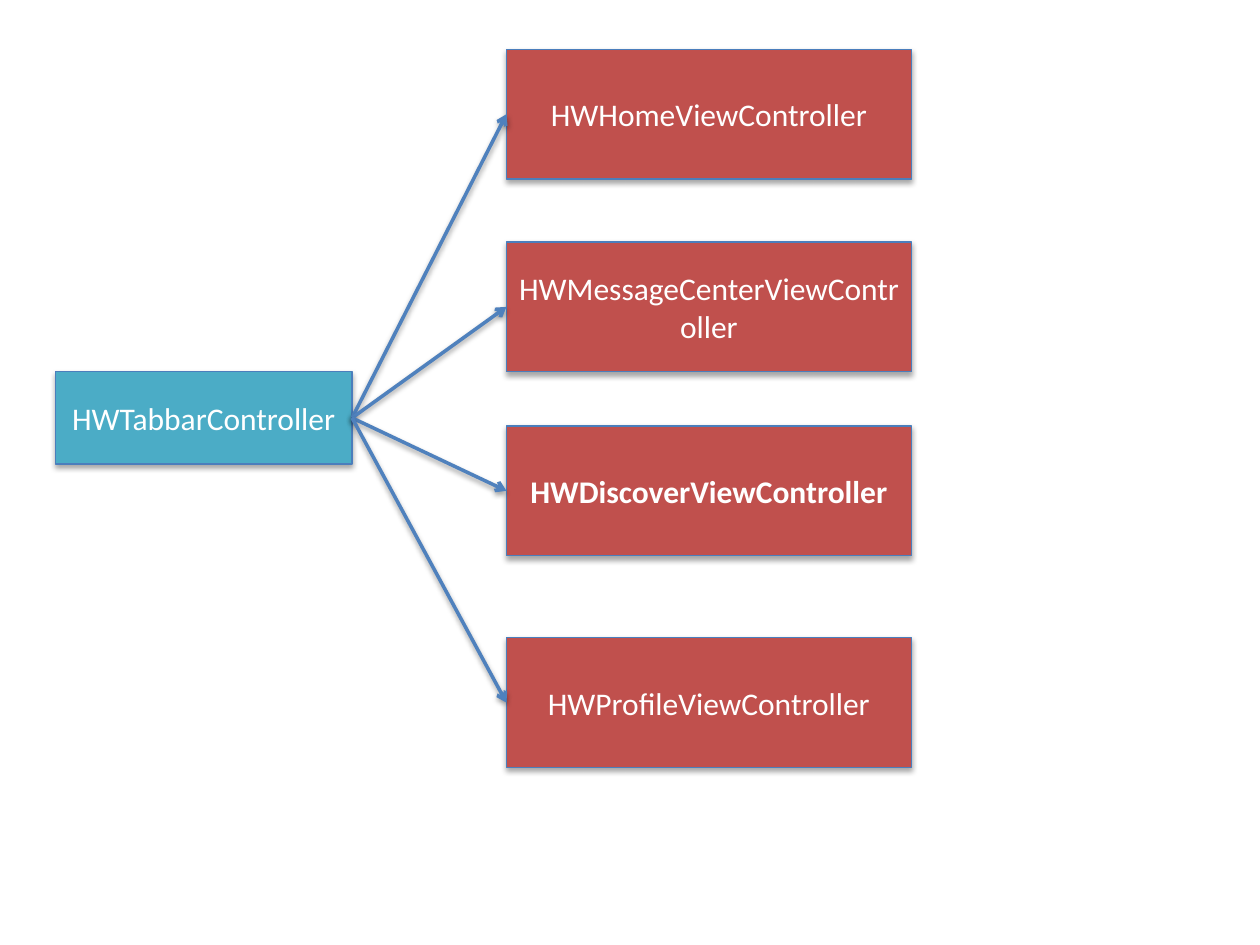
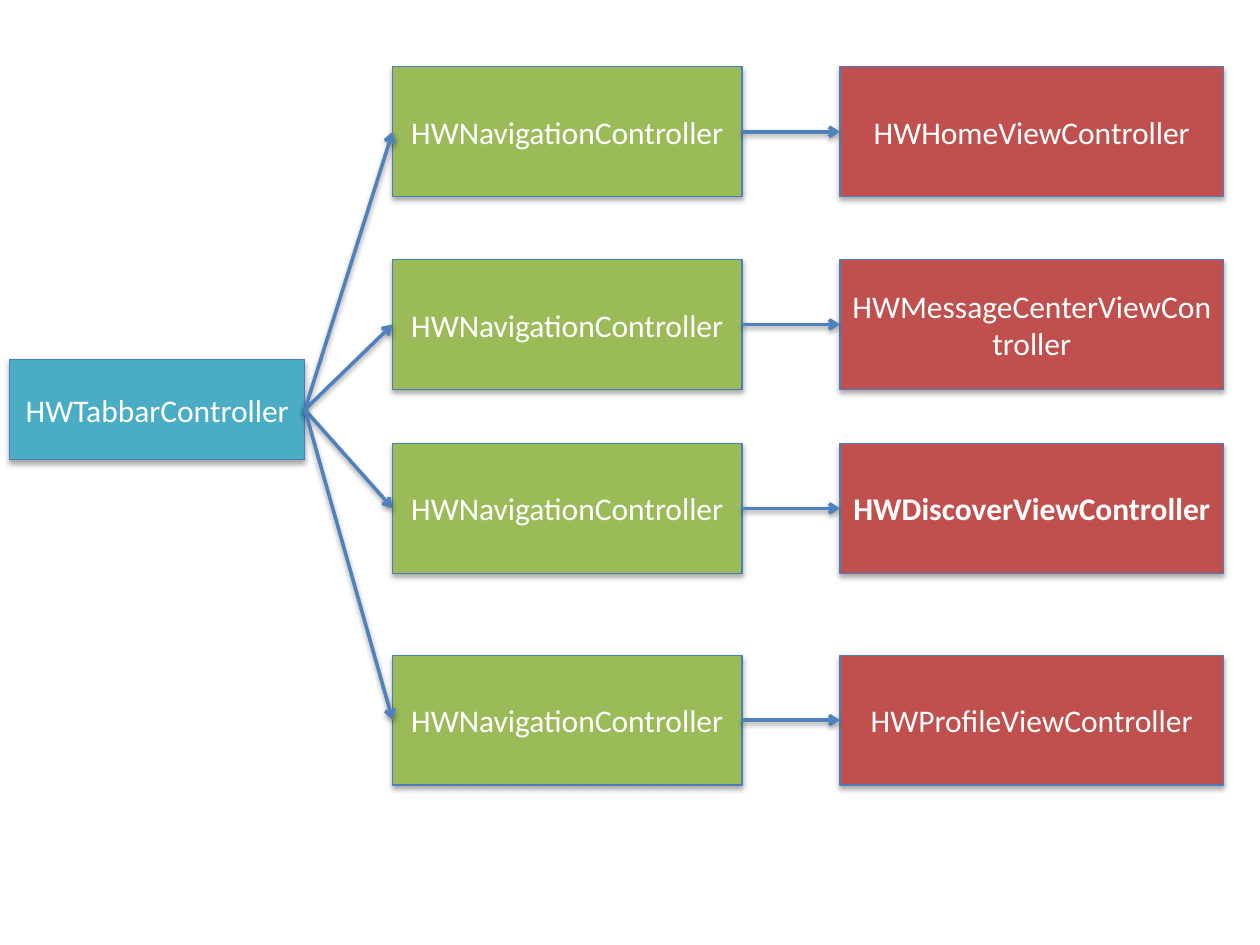
from dataclasses import dataclass

from pptx import Presentation
from pptx.dml.color import RGBColor as RGB
from pptx.enum.shapes import MSO_CONNECTOR as Conn, MSO_SHAPE as Kind
from pptx.enum.text import MSO_ANCHOR as Anchor, PP_ALIGN as Align
from pptx.oxml import parse_xml
from pptx.oxml.ns import nsdecls, qn
from pptx.util import Pt


@dataclass(frozen=True)
class Theme:
    tab: str = "4BACC6"
    nav: str = "9BBB59"
    view: str = "C0504D"
    edge: str = "4B7EBC"
    arrow: str = "4F81BD"
    text: str = "FFFFFF"
    font: str = "Calibri"
    size: float = 18
    thin: float = 0.75
    thick: float = 2


THEME = Theme()
ROOT = "HWTabbarController"
NAV = "HWNavigationController"
VIEWS = ["HWHomeViewController", "HWMessageCenterViewController",
         "HWDiscoverViewController", "HWProfileViewController"]
BOLD = "HWDiscoverViewController"

# Row tops below the first row, and the row height, shared by both slides
ROWS = [0, 110.1, 215.2, 336.2]
HIGH = 74.2
LEFT, RIGHT = 1, 3  # connection sites of a rectangle


def shade(item, alpha, dist):
    """Give a shape or connector a soft shadow that falls straight down."""
    props = item._element.spPr
    for old in props.findall(qn("a:effectLst")):
        props.remove(old)
    props.append(parse_xml(
        f'<a:effectLst {nsdecls("a")}>'
        f'<a:outerShdw blurRad="{Pt(3.15)}" dist="{Pt(dist)}" dir="5400000" rotWithShape="0">'
        f'<a:srgbClr val="000000"><a:alpha val="{alpha * 1000}"/></a:srgbClr>'
        '</a:outerShdw></a:effectLst>'))


def box(slide, text, fill, left, top, width, height):
    """Draw a class box with its centred name."""
    shape = slide.shapes.add_shape(
        Kind.RECTANGLE, Pt(left), Pt(top), Pt(width), Pt(height))
    shape.fill.solid()
    shape.fill.fore_color.rgb = RGB.from_string(fill)
    shape.line.color.rgb = RGB.from_string(THEME.edge)
    shape.line.width = Pt(THEME.thin)
    shade(shape, 35, 1.8)

    frame = shape.text_frame
    frame.word_wrap = True
    frame.vertical_anchor = Anchor.MIDDLE
    para = frame.paragraphs[0]
    para.alignment = Align.CENTER
    run = para.add_run()
    run.text = text
    run.font.name = THEME.font
    run.font.size = Pt(THEME.size)
    run.font.bold = text == BOLD
    run.font.color.rgb = RGB.from_string(THEME.text)
    return shape


def column(slide, names, fill, left, top, width):
    """Stack one box per row."""
    return [box(slide, name, fill, left, top + row, width, HIGH)
            for name, row in zip(names, ROWS)]


def arrow(slide, start, end):
    """Join the right side of one box to the left side of another."""
    line = slide.shapes.add_connector(Conn.STRAIGHT, 0, 0, 0, 0)
    line.begin_connect(start, RIGHT)
    line.end_connect(end, LEFT)
    line.line.color.rgb = RGB.from_string(THEME.arrow)
    line.line.width = Pt(THEME.thick)
    stroke = line._element.spPr.find(qn("a:ln"))
    stroke.append(parse_xml(f'<a:tailEnd {nsdecls("a")} type="arrow"/>'))
    shade(line, 38, 1.6)


def direct(slide):
    """The tab bar holds the views themselves."""
    root = box(slide, ROOT, THEME.tab, 31.6, 212.4, 169.6, 52.8)
    for view in column(slide, VIEWS, THEME.view, 289.4, 28.2, 231.4):
        arrow(slide, root, view)


def nested(slide):
    """The tab bar holds navigation boxes, each with one view."""
    top = 38.2
    root = box(slide, ROOT, THEME.tab, 5.6, 205.4, 168.6, 57.4)
    navs = column(slide, [NAV] * len(ROWS), THEME.nav, 224.4, top, 199.6)
    for nav in navs:
        arrow(slide, root, nav)
    views = column(slide, VIEWS, THEME.view, 480, top, 219.2)
    for nav, view in zip(navs, views):
        arrow(slide, nav, view)


def main():
    deck = Presentation()
    deck.slide_width, deck.slide_height = Pt(720), Pt(540)
    blank = deck.slide_layouts[6]
    for draw in (direct, nested):
        draw(deck.slides.add_slide(blank))
    deck.save("out.pptx")


main()
